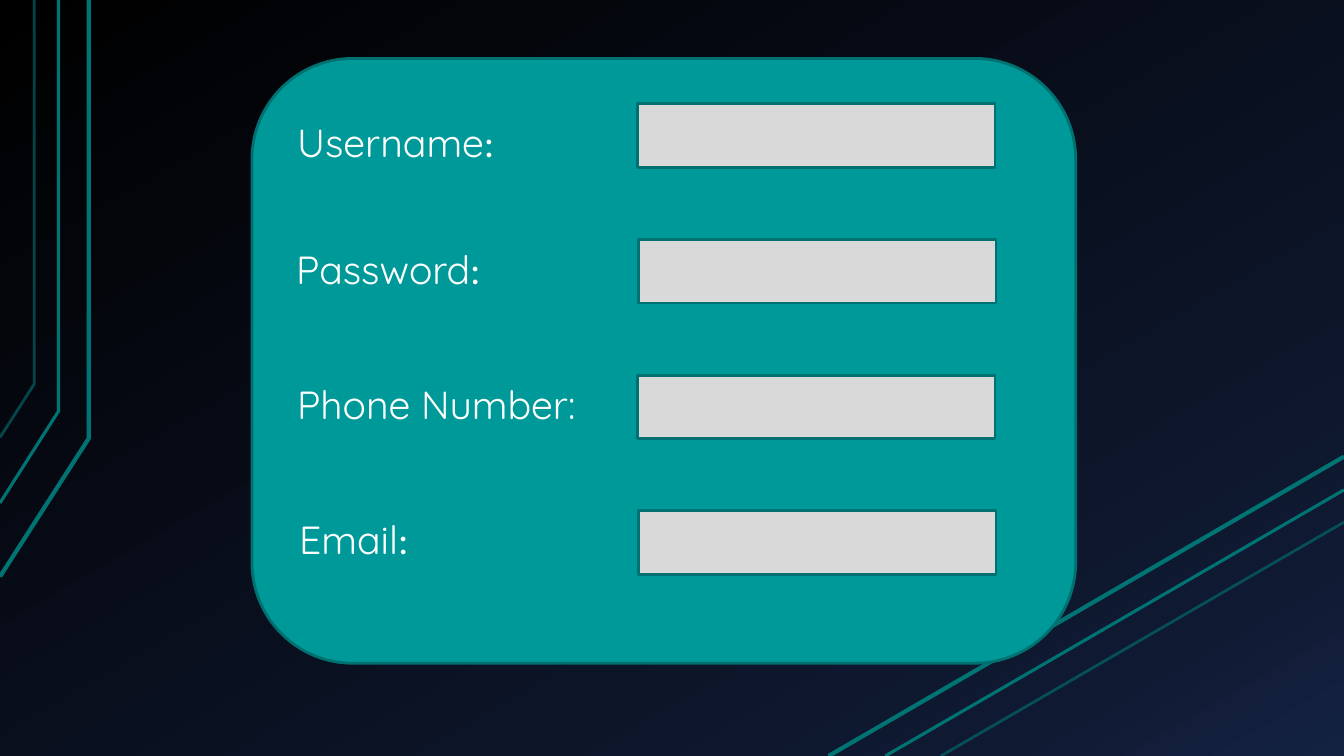
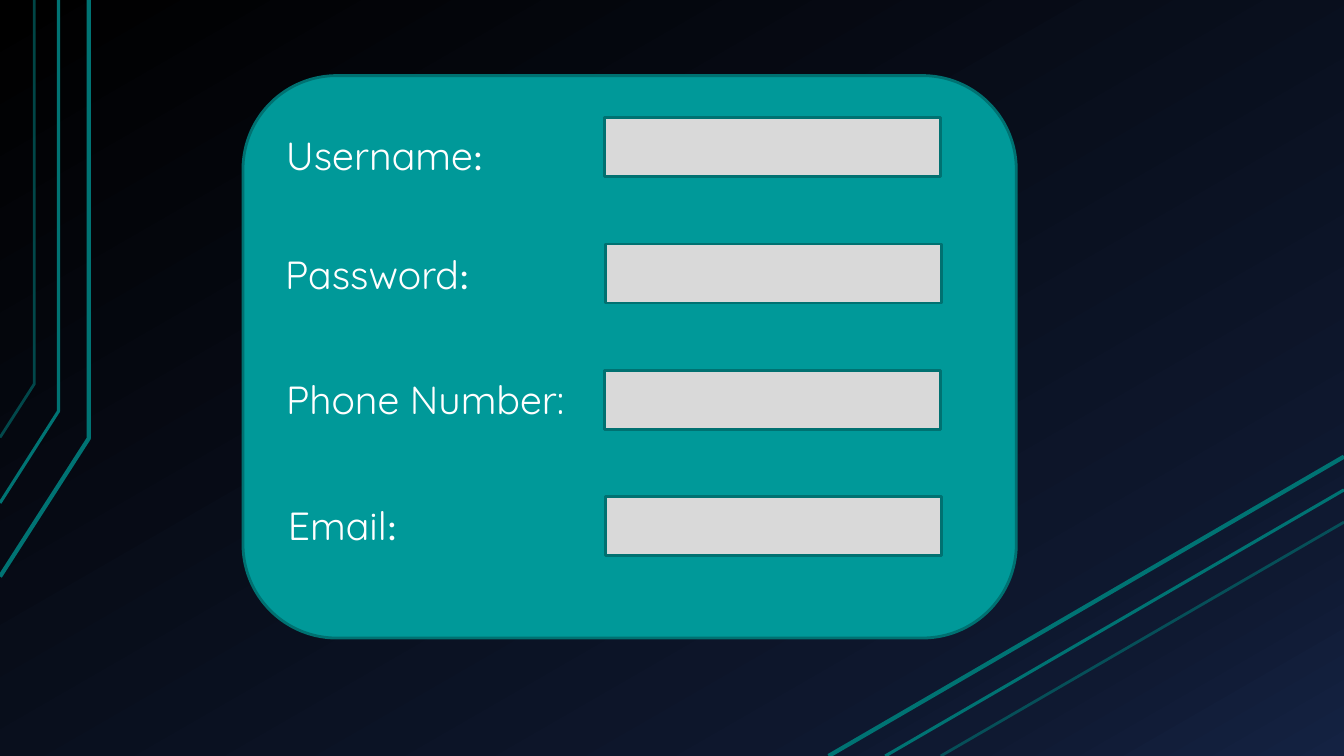
from copy import deepcopy
from dataclasses import dataclass
from typing import Any

from pptx import Presentation
from pptx.dml.color import RGBColor
from pptx.enum.shapes import MSO_CONNECTOR, MSO_SHAPE
from pptx.enum.text import MSO_AUTO_SIZE
from pptx.oxml.ns import qn
from pptx.util import Inches, Pt

RECT = MSO_SHAPE.RECTANGLE
ROUND = MSO_SHAPE.ROUNDED_RECTANGLE
STRAIGHT = MSO_CONNECTOR.STRAIGHT
FIT = MSO_AUTO_SIZE.SHAPE_TO_FIT_TEXT

WIDE, HIGH = Inches(13.33), Inches(7.5)
GRID = 100
COLORS = {
    "panel": "009999",
    "edge": "007171",
    "trace": "007373",
    "field": "D9D9D9",
    "text": "FFFFFF",
    "black": "000000",
    "navy": "0F1931",
    "blue": "142242",
}
STOPS = [(0, "black"), (0.85, "navy"), (1, "blue")]
ANGLE = 300
FONT, MARK_FONT = "Quicksand", "Calibri"
FRAME = {"word_wrap": False, "auto_size": FIT}
TYPE = {"size": Pt(28), "name": FONT}


@dataclass(frozen=True)
class Box:
    left: float
    top: float
    width: float
    height: float

    def inner(self, part: "Box") -> "Box":
        return Box(
            self.left + part.left * self.width / GRID,
            self.top + part.top * self.height / GRID,
            part.width * self.width / GRID,
            part.height * self.height / GRID,
        )

    def lengths(self) -> tuple[int, ...]:
        return tuple(round(v) for v in (self.left, self.top, self.width, self.height))


@dataclass(frozen=True)
class Trace:
    bend: tuple[float, float]
    foot: float
    start: float
    rise: float
    weight: float
    alpha: int = 100


@dataclass(frozen=True)
class Row:
    label: str
    mark: str
    left: float
    top: float
    width: float


PAGE = Box(0, 0, WIDE, HIGH)
PANELS = [Box(18.75, 7.73, 61.29, 80), Box(18.08, 10, 57.54, 74.4)]
TRACES = [
    Trace((6.6, 58), 76.27, 61.65, 60.4, 3),
    Trace((4.35, 54.4), 66.53, 65.87, 64.8, 2.25),
    Trace((2.55, 50.8), 57.87, 70, 69.07, 2, 60),
]
ROWS = [
    Row("Username", ":", 4.28, 9.1, 30.84),
    Row("Password", ":", 4.16, 30.15, 30),
    Row("Phone Number:", "", 4.28, 52.33, 42.35),
    Row("Email", ":", 4.53, 74.8, 17.75),
]
FIELD = Box(46.75, 7.5, 43.45, 10.5)
SHIFT, STEP = 0.13, 22.44
LABEL_HIGH = 10.17


def apply(target: Any, values: dict[str, Any]) -> None:
    for name, value in values.items():
        setattr(target, name, value)


def tint(name: str) -> RGBColor:
    return RGBColor.from_string(COLORS[name])


def point(col: float, row: float) -> tuple[int, int]:
    return round(col * WIDE / GRID), round(row * HIGH / GRID)


def stroke(shape: Any, color: str, weight: float, alpha: int = 100) -> None:
    shape.line.color.rgb = tint(color)
    shape.line.width = Pt(weight)
    if alpha < 100:
        for node in shape.line._ln.iter(qn("a:srgbClr")):
            part = node.makeelement(qn("a:alpha"), {"val": str(alpha * 1000)})
            node.append(part)


def back(slide: Any) -> None:
    fill = slide.background.fill
    fill.gradient()
    fill.gradient_angle = ANGLE
    group = next(slide.element.iter(qn("a:gsLst")))
    group.append(deepcopy(group[-1]))
    for stop, (place, color) in zip(fill.gradient_stops, STOPS):
        stop.color.rgb = tint(color)
        stop.position = place


def trace(slide: Any, item: Trace) -> None:
    form = slide.shapes.build_freeform(*point(0, item.foot))
    form.add_line_segments([point(*item.bend), point(item.bend[0], 0)], close=False)
    bent = form.convert_to_shape()
    bent.fill.background()
    bent.shadow.inherit = False
    stroke(bent, "trace", item.weight, item.alpha)
    slant = slide.shapes.add_connector(
        STRAIGHT, *point(item.start, GRID), *point(GRID, item.rise)
    )
    stroke(slant, "trace", item.weight, item.alpha)
    props = slant._element.spPr
    props.append(props.makeelement(qn("a:effectLst"), {}))


def block(slide: Any, kind: Any, box: Box, color: str) -> None:
    shape = slide.shapes.add_shape(kind, *box.lengths())
    shape.shadow.inherit = False
    shape.fill.solid()
    shape.fill.fore_color.rgb = tint(color)
    stroke(shape, "edge", 2)


def label(slide: Any, box: Box, row: Row) -> None:
    frame = slide.shapes.add_textbox(*box.lengths()).text_frame
    apply(frame, FRAME)
    for text, face in ((row.label, FONT), (row.mark, MARK_FONT)):
        if text:
            run = frame.paragraphs[0].add_run()
            run.text = text
            apply(run.font, TYPE | {"name": face})
            run.font.color.rgb = tint("text")


def draw(slide: Any, panel: Box) -> None:
    back(slide)
    for item in TRACES:
        trace(slide, item)
    area = PAGE.inner(panel)
    block(slide, ROUND, area, "panel")
    for num, row in enumerate(ROWS):
        field = Box(
            FIELD.left + num % 2 * SHIFT,
            FIELD.top + num * STEP,
            FIELD.width,
            FIELD.height,
        )
        block(slide, RECT, area.inner(field), "field")
        label(slide, area.inner(Box(row.left, row.top, row.width, LABEL_HIGH)), row)


def main() -> None:
    deck = Presentation()
    apply(deck, {"slide_width": WIDE, "slide_height": HIGH})
    for panel in PANELS:
        draw(deck.slides.add_slide(deck.slide_layouts[6]), panel)
    deck.save("out.pptx")


if __name__ == "__main__":
    main()
